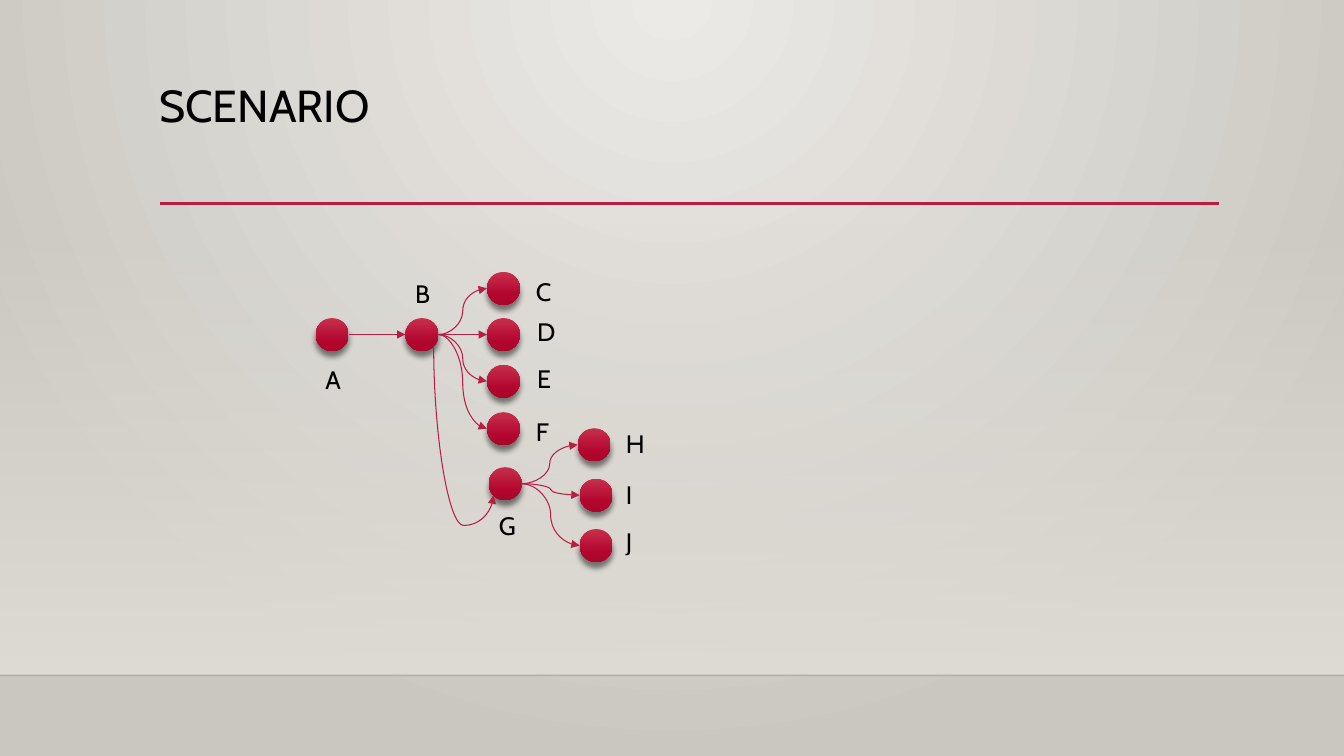
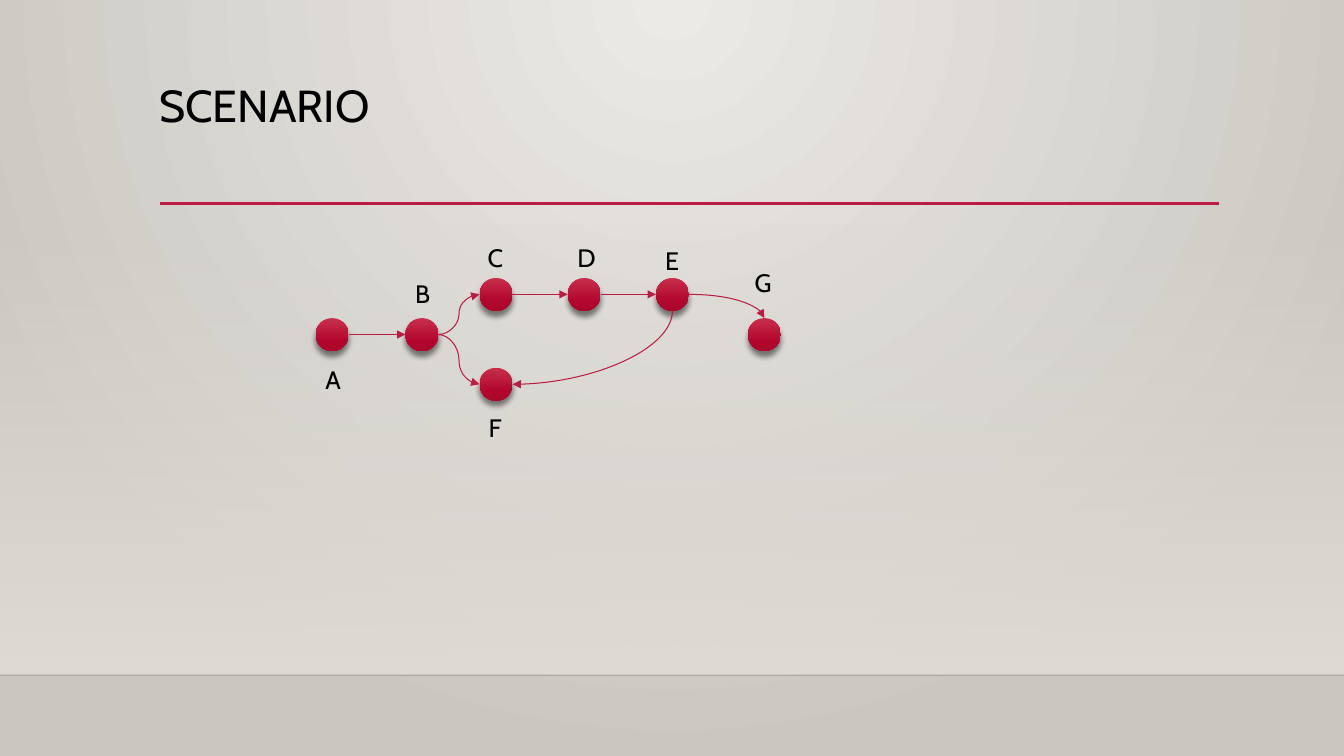
"""Build two scenario slides, each a small graph of lettered nodes."""
from math import cos, pi, sin

from lxml.etree import SubElement as Sub
from pptx import Presentation
from pptx.dml.color import RGBColor as RGB
from pptx.enum.shapes import MSO_CONNECTOR as Link, MSO_SHAPE as Kind
from pptx.enum.text import MSO_AUTO_SIZE as Fit
from pptx.oxml.ns import qn
from pptx.util import Pt

RED, BLACK, FONT = "B71E42", "000000", "Cabin"
WIDE, HIGH, DOT = 960, 540, 23.6
RIGHT, LEFT = 6, 2


def tint(fill, *hues, spots=(0, 100)):
    """Fill with one hue or a downward gradient; two more digits set alpha."""
    if len(hues) == 1:
        fill.solid()
        fill.fore_color.rgb = RGB.from_string(hues[0][:6])
        tones = [fill._xPr.find(qn("a:solidFill"))[0]]
    else:
        fill.gradient()
        fill.gradient_angle = 270
        stops = fill._xPr.find(qn("a:gradFill")).find(qn("a:gsLst"))
        for old in list(stops):
            stops.remove(old)
        tones = []
        for hue, spot in zip(hues, spots):
            stop = Sub(stops, qn("a:gs"), pos=str(spot * 1000))
            tones.append(Sub(stop, qn("a:srgbClr"), val=hue[:6]))
    for tone, hue in zip(tones, hues):
        if hue[6:]:
            Sub(tone, qn("a:alpha"), val=str(int(hue[6:], 16) * 100000 // 255))


def text(slide, words, x, y, w=33.8, h=29, size=18, hue=BLACK):
    """Add a text box that grows with its words."""
    box = slide.shapes.add_textbox(Pt(x), Pt(y), Pt(w), Pt(h))
    frame = box.text_frame
    frame.word_wrap = True
    frame.auto_size = Fit.SHAPE_TO_FIT_TEXT
    run = frame.paragraphs[0].add_run()
    run.text = words
    run.font.name, run.font.size = FONT, Pt(size)
    tint(run.font.fill, hue)


BENT, ARC = "curvedConnector3", "curvedConnector2"
graphs = [
    {
        "nodes": {
            "A": (237.2, 239, 225.4, 257), "B": (301.4, 239, 289.4, 195),
            "C": (359.6, 206, 375.8, 193.7), "D": (359.6, 239, 376.6, 222.5),
            "E": (359.6, 272.3, 376.6, 255.6), "F": (359.6, 306.2, 375.8, 293.8),
            "G": (360.8, 345.5, 349.2, 360.7), "H": (424.4, 317.7, 440, 302.4),
            "I": (425.8, 353.7, 440, 339), "J": (425.8, 389.7, 440, 372.2),
        },
        "plain": "AB BC BD BE BF GH GI GJ",
        "bent": [("BG", 5, 3, 270, BENT, 120200)],
    },
    {
        "nodes": {
            "A": (237.2, 239, 225.4, 257), "B": (301.4, 239, 289.4, 195),
            "C": (354.3, 210.3, 341.3, 169.2), "D": (417.3, 210.3, 405.4, 169.2),
            "E": (480.3, 210.3, 468, 171.4), "F": (354.3, 274.5, 342, 290.9),
            "G": (546, 239, 532, 187.2),
        },
        "plain": "AB BC CD DE BF",
        "bent": [("EG", RIGHT, 0, 0, ARC, None), ("EF", 4, RIGHT, 90, ARC, None)],
    },
]

deck = Presentation()
deck.slide_width, deck.slide_height = Pt(WIDE), Pt(HIGH)
blank = deck.slide_layouts[6]

back = blank.background.fill
tint(back, "ECEAE7", "CAC7C1")
grad = back._xPr.find(qn("a:gradFill"))
grad.remove(grad.find(qn("a:lin")))
ring = Sub(grad, qn("a:path"), path="circle")
Sub(ring, qn("a:fillToRect"), l="43000", t="0", r="43000", b="100000")

for graph in graphs:
    slide = deck.slides.add_slide(blank)
    shapes = slide.shapes
    wall = shapes.add_shape(Kind.RECTANGLE, 0, Pt(159), Pt(WIDE), Pt(323.4))
    wall.shadow.inherit = False
    tint(wall.fill, "DFDBD500", "DFDBD5")
    wall.line.fill.background()
    for x, end, y, hue, thick in [(0, WIDE, 482.4, "00000133", 1),
                                  (114.4, 871, 145.4, RED, 2.5)]:
        rule = shapes.add_connector(Link.STRAIGHT, Pt(x), Pt(y), Pt(end), Pt(y))
        tint(rule.line.fill, hue)
        rule.line.width = Pt(thick)
        Sub(rule._element.spPr, qn("a:effectLst"))
    text(slide, "SCENARIO", 106.6, 51.8, w=458.6, h=46, size=32)

    dots = {}
    for name, (x, y, tag_x, tag_y) in graph["nodes"].items():
        dot = shapes.add_shape(Kind.OVAL, Pt(x - DOT / 2), Pt(y - DOT / 2),
                               Pt(DOT), Pt(DOT))
        tint(dot.fill, "C7304C", "B3062F", "AA062C", spots=(0, 69, 100))
        dot.line.fill.background()
        dot.shadow.inherit = False
        glow = dot._element.spPr.find(qn("a:effectLst"))
        cast = Sub(glow, qn("a:outerShdw"), blurRad=str(Pt(4)), dist=str(Pt(4)),
                   dir="5400000", algn="ctr", rotWithShape="0")
        Sub(Sub(cast, qn("a:srgbClr"), val=BLACK), qn("a:alpha"), val="48000")
        dots[name] = dot
        text(slide, name, tag_x, tag_y)

    links = [(pair, RIGHT, LEFT, 0, BENT, None) for pair in graph["plain"].split()]
    for pair, site, goal, turn, form, bend in links + graph["bent"]:
        ends = []
        for name, spot in zip(pair, (site, goal)):
            x, y = graph["nodes"][name][:2]
            ends.append((x - DOT / 2 * sin(spot * pi / 4),
                         y - DOT / 2 * cos(spot * pi / 4)))
        (x1, y1), (x2, y2) = ends
        mid_x, mid_y, dx, dy = (x1 + x2) / 2, (y1 + y2) / 2, x2 - x1, y2 - y1
        w, h = {0: (dx, dy), 90: (dy, -dx), 270: (-dy, dx)}[turn]
        wire = shapes.add_connector(Link.CURVE, Pt(mid_x - w / 2), Pt(mid_y - h / 2),
                                    Pt(mid_x + w / 2), Pt(mid_y + h / 2))
        tint(wire.line.fill, RED)
        wire.line.width = Pt(0.75)
        Sub(wire.line.fill._xPr, qn("a:tailEnd"), type="triangle")
        props = wire._element.spPr
        Sub(props, qn("a:effectLst"))
        if turn:
            props.find(qn("a:xfrm")).set("rot", str(turn * 60000))
        geom = props.find(qn("a:prstGeom"))
        geom.set("prst", form)
        if bend:
            Sub(geom.find(qn("a:avLst")), qn("a:gd"), name="adj1", fmla=f"val {bend}")
        joins = wire._element.nvCxnSpPr.cNvCxnSpPr
        for tag, name, spot in zip(("a:stCxn", "a:endCxn"), pair, (site, goal)):
            Sub(joins, qn(tag), id=str(dots[name].shape_id), idx=str(spot))

deck.save("out.pptx")
